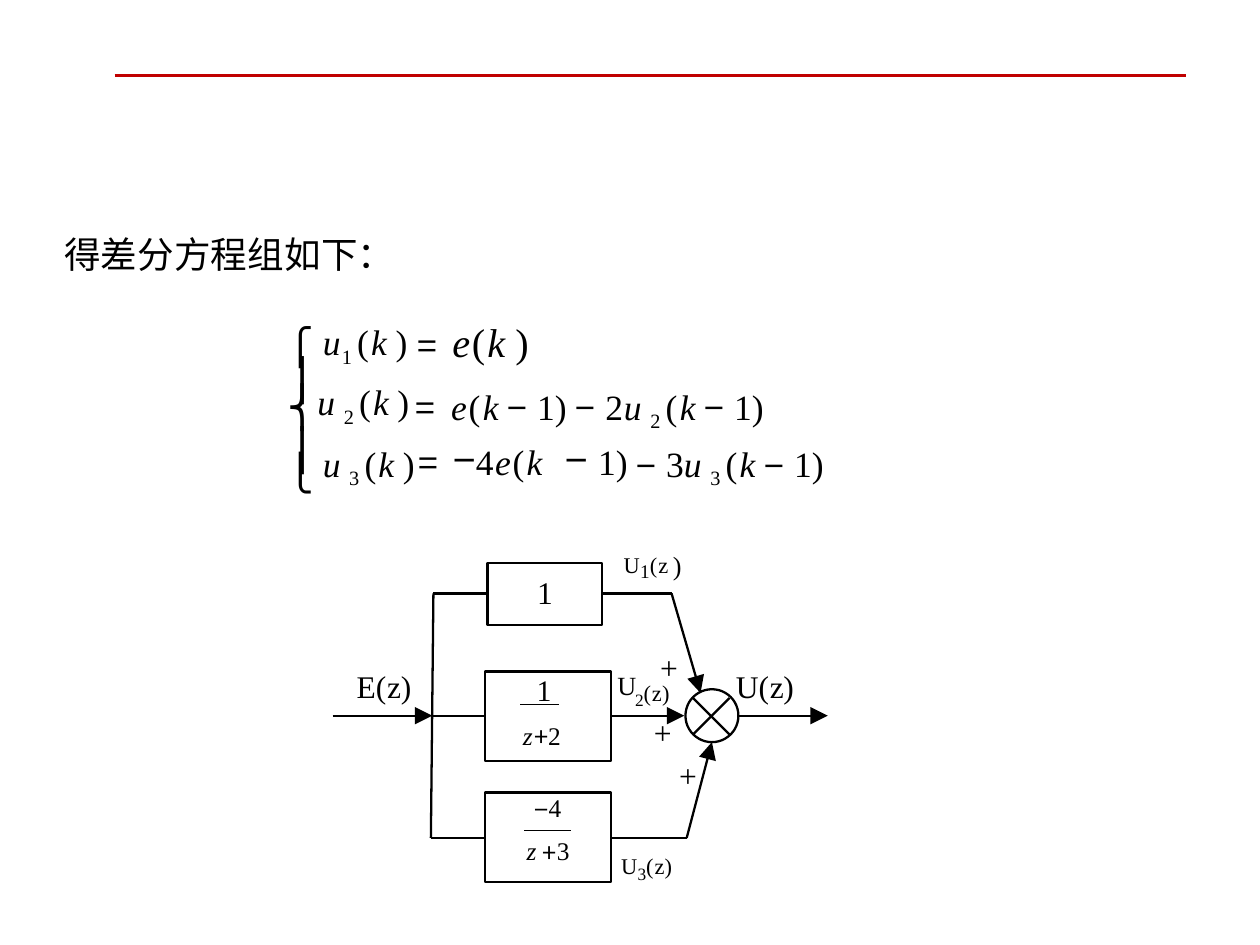
import pptx
import pptx.util
import pptx.dml.color
import pptx.enum.shapes
import pptx.enum.text
import pptx.oxml
import pptx.oxml.ns
from dataclasses import dataclass
from typing import Optional, Union

Inches = pptx.util.Inches
Pt = pptx.util.Pt
BLACK = pptx.dml.color.RGBColor(0, 0, 0)
WHITE = pptx.dml.color.RGBColor(255, 255, 255)
RED = pptx.dml.color.RGBColor(0xC0, 0, 0)
SERIF = "Times New Roman"
MATH = "Noto Sans CJK JP"
LEFT = pptx.enum.text.PP_ALIGN.LEFT
MID = pptx.enum.text.PP_ALIGN.CENTER
RIGHT = pptx.enum.text.PP_ALIGN.RIGHT


@dataclass
class Run:
    text: str
    size: float = 35
    base: float = 0
    gap: float = 0
    slant: bool = False
    font: str = SERIF


@dataclass
class Para:
    runs: list[Run]
    pitch: Union[float, pptx.util.Length, None] = None
    indent: float = 0.01
    align: int = LEFT
    before: float = 0


@dataclass
class Label:
    left: float
    top: float
    width: float
    height: float
    paras: list[Para]


@dataclass
class Wire:
    x1: float
    y1: float
    x2: float
    y2: float
    arrow: bool = False
    width: float = 1.31
    color: pptx.dml.color.RGBColor = BLACK


def sym(text: str, base: float = 0, gap: float = -5.9, size: float = 35) -> Run:
    return Run(text, size, base, gap, font=MATH)


def wide(text: str, base: float, gap: float = -5.9, size: float = 35,
         space: float = 0.7) -> list[Run]:
    """A tightly set symbol and a space of normal width."""
    return [sym(text, base, gap, size), Run(" ", size, base, space)]


def var(text: str, base: float, gap: float = -0.1, size: float = 35) -> Run:
    return Run(text, size, base, gap, True)


def call(base: float, size: float = 35) -> list[Run]:
    """The argument (k)."""
    return [Run("(", size, base, 1.2), var("k ", base, size=size), Run(")", size, base)]


def lag(base: float, dip: float) -> list[Run]:
    """The argument (k − 1), its minus raised by dip."""
    return [Run("(", 35, base, 1.3), var("k ", base, 0), *wide("−", dip),
            Run("1", 35, base, -1), Run(")", 35, base)]


def term(name: str, index: str, base: float, low: float) -> list[Run]:
    return [var(name, base), Run(index, 20, low)]


def zarg(base: float) -> list[Run]:
    return [Run("(", 22, base, 0.5), Run("z", 22, base, 0.2), Run(")", 22, base)]


def port(name: str) -> Para:
    return Para([Run(name, 18, 0, -0.9), Run("(", 18, 0, 0.5), Run("z)", 18, 0, -0.2)],
                Pt(19.6))


def plus(pitch: Union[float, pptx.util.Length], align: int = LEFT) -> Para:
    return Para([Run("+", 18, 0, 0.2)], pitch, 0.01, align)


def stem(top: float) -> Label:
    """A straight piece of the tall brace."""
    return Label(2.27, top, 0.4, 0.35, [Para([sym("⎪", 0, -11.8, 23)], Pt(25.1))])


EQUALS = [Para([sym("=", 6)], Pt(30.1), 0.02),
          Para([sym("=", 4)], Pt(34.6), 0.01, before=0.2),
          Para([sym("=", -1)], Pt(29.6), 0.03)]
RIGHTS = [
    Para([var("e", 0, 1, 23), *call(0, 23)], Pt(24.6), 0.02),
    Para([var("e", 4, 1.1), *lag(4, 2)[:-1], Run(") ", 35, 4), *wide("−", 2),
          Run("2", 35, 4, 0.4), *term("u ", "2 ", 4, -17), *lag(4, 2)],
         Pt(39), before=0.7)]

LABELS = [
    Label(0.5, 1.87, 3.12, 0.36,
          [Para([Run("得差分方程组如下：", 36, -3, 0.1, font="Arial")], Pt(25.1))]),
    Label(2.27, 2.56, 1.3, 0.4,
          [Para([*wide("⎧", 3, -11.8, space=0), var("u", 9, 0.8), Run("1 ", 20, -9),
                 *call(9)], Pt(29))]),
    Label(3.29, 2.56, 0.28, 1.31, EQUALS),
    Label(3.57, 2.56, 3.16, 0.88, RIGHTS),
    stem(2.85),
    Label(2.27, 3.04, 1.76, 0.4,
          [Para([sym("⎨", 0, -11.5, 23), *term("u ", "2 ", 9, -9), *call(9)], Pt(29))]),
    stem(3.4),
    Label(2.27, 3.52, 1.3, 0.43,
          [Para([*wide("⎩", -1, -11.8, space=0), *term("u ", "3 ", 13, -2), *call(13)],
                Pt(30.9))]),
    Label(3.59, 3.52, 0.88, 0.35,
          [Para([sym("−", 0, -5, 23), Run("4", 35, 1, 0.8), var("e", 1, 1),
                 Run("(", 35, 1, 1.2), var("k", 1)], Pt(25.4))]),
    Label(4.48, 3.52, 0.57, 0.35,
          [Para([*wide("−", 0, -5.9, 23, 0), Run("1", 35, 1, -1), Run(")", 35, 1)],
                Pt(25.4))]),
    Label(5.04, 3.52, 2.09, 0.41,
          [Para([*wide("−", 5), Run("3", 35, 9, -0.4), *term("u ", "3 ", 9, -9),
                 *lag(9, 5)], Pt(29.3))]),
    Label(5.33, 4.39, 0.14, 0.23, [Para([Run(")", 15)], Pt(15.8))]),
    Label(5.23, 5.17, 0.23, 0.28, [plus(Pt(19.6))]),
    Label(2.82, 5.32, 0.51, 0.28, [port("E")]),
    Label(5.83, 5.32, 0.53, 0.28, [port("U")]),
    Label(5.03, 5.4, 0.38, 0.26, [Para([Run("2", 17, -8), *zarg(8)], Pt(18))]),
    Label(5.38, 6.03, 0.23, 0.28, [plus(Pt(19.6))]),
    Label(3.85, 6.29, 1, 0.71,
          [Para([sym("−", 6, -4.4, 25), Run("4", 25, 11, -0.1)], Pt(22), 0, MID),
           Para([var("z ", 9, size=25), sym("+", 5, -4.2, 25), Run("3", 25, 9, -0.1)],
                Pt(23.8), 0, MID, 0.1)]),
    Label(4.85, 6.8, 0.61, 0.21,
          [Para([Run("U", 22, -4, 0.2), Run("3", 17, -24), *zarg(-4)], Pt(15.5), 0.08)]),
    Label(3.85, 5.33, 1.02, 0.71,
          [Para([Run("1", 17, 0, -0.1)], None, 0.41),
           Para([var("z", 7, 0.7, 25), sym("+", 4, -3.5, 25), Run("2", 25, 7, -0.1)],
                Pt(27.2), 0.3, before=1.4)]),
    Label(4.85, 5.33, 0.49, 0.36, [Para([Run("U", 15)], 0.96, 0.05)]),
    Label(4.85, 5.68, 0.48, 0.36, [plus(0.96, RIGHT)]),
    Label(3.87, 4.57, 0.91, 0.39, [Para([Run("1", 18, 0, 0.2)], 0.96, 0, MID)]),
    Label(4.78, 4.47, 0.62, 0.25,
          [Para([Run("U", 22, 14, 0.2), Run("1", 11, 0, 0.1), Run("(z", 22, 14, 0.5)],
                Pt(13.1), 0.17)]),
]

BOXES = [(3.87, 4.47, 0.91, 0.49), (3.85, 5.33, 1, 0.71), (3.85, 6.29, 1, 0.71)]
WIRES = [
    Wire(2.64, 5.68, 3.43, 5.68, True), Wire(3.42, 6.65, 3.44, 4.71),
    Wire(3.44, 4.71, 3.87, 4.71), Wire(3.42, 5.68, 3.85, 5.68), Wire(3.42, 6.65, 3.85, 6.65),
    Wire(4.78, 4.71, 5.33, 4.71), Wire(5.33, 4.71, 5.56, 5.5, True),
    Wire(4.85, 5.68, 5.43, 5.68, True),
    Wire(4.85, 6.65, 5.45, 6.65), Wire(5.45, 6.65, 5.65, 5.89, True),
    Wire(5.86, 5.68, 6.57, 5.68, True),
    Wire(5.5, 5.54, 5.79, 5.83), Wire(5.5, 5.83, 5.79, 5.54),
    Wire(4.13, 5.59, 4.44, 5.59, width=0.87), Wire(4.16, 6.59, 4.53, 6.59, width=0.87),
    Wire(0.91, 0.6, 9.41, 0.6, width=1.5, color=RED),
]


def block(slide, kind: int, *area: float) -> None:
    shape = slide.shapes.add_shape(kind, *map(Inches, area))
    shape.shadow.inherit = False
    shape.fill.solid()
    shape.fill.fore_color.rgb = WHITE
    shape.line.color.rgb = BLACK
    shape.line.width = Pt(1.31)


def link(slide, wire: Wire) -> None:
    ends = map(Inches, (wire.x1, wire.y1, wire.x2, wire.y2))
    line = slide.shapes.add_connector(pptx.enum.shapes.MSO_CONNECTOR.STRAIGHT, *ends)
    line.line.color.rgb = wire.color
    line.line.width = Pt(wire.width)
    props = line._element.spPr
    if wire.arrow:
        props.find(pptx.oxml.ns.qn("a:ln")).append(props.makeelement(
            pptx.oxml.ns.qn("a:tailEnd"), {"type": "triangle", "w": "lg", "len": "lg"}))
    props.append(props.makeelement(pptx.oxml.ns.qn("a:effectLst")))


def same(values: list) -> Optional[object]:
    return values[0] if len(set(values)) == 1 else None


def fill(para, data: Para) -> None:
    para.alignment = data.align
    para.line_spacing = data.pitch
    if data.before:
        para.space_before = Pt(data.before)
    para._p.get_or_add_pPr().set("marL", str(Inches(data.indent)))
    para.font.color.rgb = BLACK
    name = same([run.font for run in data.runs])
    size = same([run.size for run in data.runs])
    if name:
        para.font.name = name
    if size:
        para.font.size = Pt(size)
    for item in data.runs:
        run = para.add_run()
        run.text = item.text
        if not name:
            run.font.name = item.font
        if not size:
            run.font.size = Pt(item.size)
        if item.slant:
            run.font.italic = True
        props = run._r.get_or_add_rPr()
        props.set("baseline", str(round(item.base * 1000)))
        props.set("spc", str(round(item.gap * 100)))
        if item.font != SERIF:
            props.append(props.makeelement(pptx.oxml.ns.qn("a:ea"), {"typeface": MATH}))


def write(slide, label: Label) -> None:
    area = (label.left, label.top, label.width, label.height)
    frame = slide.shapes.add_textbox(*map(Inches, area)).text_frame
    frame.word_wrap = True
    frame.margin_left = frame.margin_right = frame.margin_top = frame.margin_bottom = 0
    for num, data in enumerate(label.paras):
        fill(frame.add_paragraph() if num else frame.paragraphs[0], data)


def main() -> None:
    deck = pptx.Presentation()
    deck.slide_width, deck.slide_height = Inches(10), Inches(7.5)
    slide = deck.slides.add_slide(deck.slide_layouts[6])
    for area in BOXES:
        block(slide, pptx.enum.shapes.MSO_SHAPE.RECTANGLE, *area)
    block(slide, pptx.enum.shapes.MSO_SHAPE.OVAL, 5.44, 5.47, 0.42, 0.42)
    for wire in WIRES:
        link(slide, wire)
    for label in LABELS:
        write(slide, label)
    deck.save("out.pptx")


if __name__ == "__main__":
    main()
